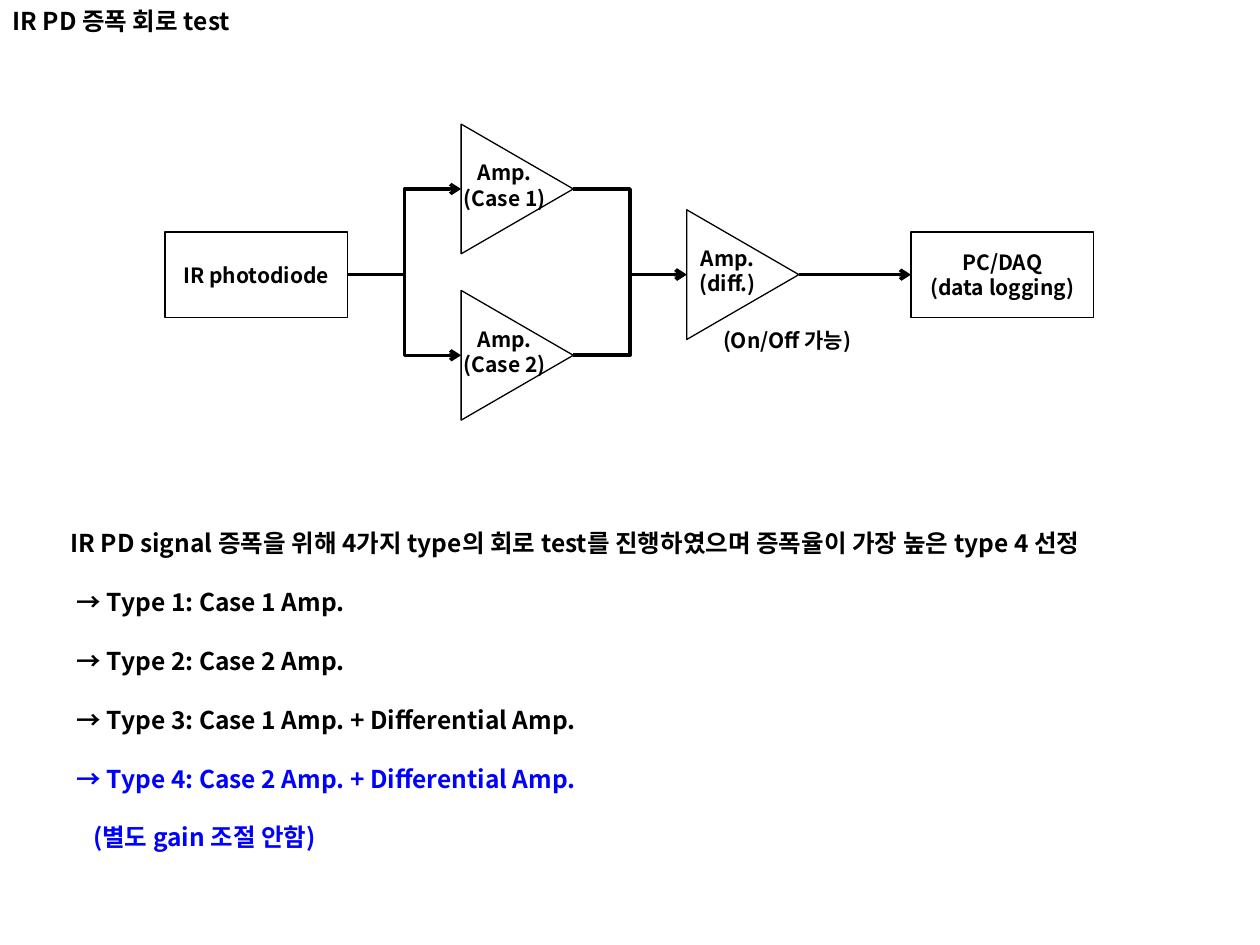
from dataclasses import dataclass

from lxml import etree
from pptx import Presentation
from pptx import util as u
from pptx.dml.color import RGBColor
from pptx.enum import shapes, text
from pptx.oxml.ns import qn


@dataclass(frozen=True)
class Theme:
    font: str = "Noto Sans CJK KR"
    ink: RGBColor = RGBColor(0, 0, 0)
    accent: RGBColor = RGBColor(0, 0, 255)
    body: int = 14
    label: int = 12
    outline: float = 0.75
    wire: float = 2


@dataclass(frozen=True)
class Line:
    text: str
    indent: float = 0
    color: RGBColor = Theme.ink


@dataclass(frozen=True)
class Block:
    left: float
    lines: list[Line]


@dataclass(frozen=True)
class Amp:
    left: float
    middle: float
    lines: list[Line]
    label_left: float
    label_width: float

    @property
    def right(self) -> float:
        return self.left + AMP_DEPTH


THEME = Theme()
AXIS, UPPER, LOWER = 2.18, 1.5, 2.82
BLOCK_WIDTH, BLOCK_HEIGHT = 1.45, 0.68
AMP_SPAN, AMP_DEPTH = 1.03, 0.89
LABEL_HEIGHT = 0.5


def write(frame, lines: list[Line], size: int, align=None, spacing=None) -> None:
    for index, line in enumerate(lines):
        paragraph = frame.paragraphs[0] if index == 0 else frame.add_paragraph()
        if line.indent:
            properties = paragraph._p.get_or_add_pPr()
            properties.set("marL", str(u.Inches(line.indent)))
            properties.set("indent", "0")
        paragraph.text = line.text
        paragraph.alignment = align
        paragraph.line_spacing = spacing
        font = paragraph.font
        font.name, font.size, font.bold = THEME.font, u.Pt(size), True
        font.color.rgb = line.color
        etree.SubElement(font._element, qn("a:ea")).set("typeface", THEME.font)


def add_text(slide, left: float, top: float, width: float, height: float,
             lines: list[Line], size: int, wrap: bool = False, align=None, spacing=None) -> None:
    box = slide.shapes.add_textbox(*map(u.Inches, (left, top, width, height)))
    box.text_frame.word_wrap = wrap
    write(box.text_frame, lines, size, align, spacing)


def add_outline(slide, kind, left: float, top: float, width: float, height: float):
    shape = slide.shapes.add_shape(kind, *map(u.Inches, (left, top, width, height)))
    shape.shadow.inherit = False
    shape.fill.background()
    shape.line.color.rgb = THEME.ink
    shape.line.width = u.Pt(THEME.outline)
    return shape


def add_block(slide, block: Block):
    shape = add_outline(slide, shapes.MSO_SHAPE.RECTANGLE, block.left,
                        AXIS - BLOCK_HEIGHT / 2, BLOCK_WIDTH, BLOCK_HEIGHT)
    shape.text_frame.vertical_anchor = text.MSO_ANCHOR.MIDDLE
    write(shape.text_frame, block.lines, THEME.label, text.PP_ALIGN.CENTER)
    return shape


def add_amp(slide, amp: Amp) -> None:
    triangle = add_outline(slide, shapes.MSO_SHAPE.FLOWCHART_EXTRACT,
                           amp.left - (AMP_SPAN - AMP_DEPTH) / 2,
                           amp.middle - AMP_DEPTH / 2, AMP_SPAN, AMP_DEPTH)
    triangle.rotation = 90
    add_text(slide, amp.label_left, amp.middle - 0.28, amp.label_width, LABEL_HEIGHT,
             amp.lines, THEME.label, align=text.PP_ALIGN.CENTER)


def add_wire(slide, kind, start: tuple[float, float], end: tuple[float, float]):
    wire = slide.shapes.add_connector(kind, *map(u.Inches, (*start, *end)))
    wire.line.color.rgb = THEME.ink
    wire.line.width = u.Pt(THEME.wire)
    etree.SubElement(wire.line._get_or_add_ln(), qn("a:tailEnd")).set("type", "arrow")
    etree.SubElement(wire._element.spPr, qn("a:effectLst"))
    return wire


def main() -> None:
    deck = Presentation()
    deck.slide_width, deck.slide_height = u.Inches(10), u.Inches(7.5)
    slide = deck.slides.add_slide(deck.slide_layouts[6])

    add_text(slide, 0, 0, 2.07, 0.34, [Line("IR PD 증폭 회로 test")], THEME.body)

    photodiode = Block(1.31, [Line("IR photodiode")])
    logger = Block(7.23, [Line("PC/DAQ"), Line("(data logging)")])
    cases = [
        Amp(3.66, middle, [Line("Amp."), Line(f"(Case {number})")], 3.58, 0.85)
        for number, middle in enumerate((UPPER, LOWER), 1)
    ]
    differential = Amp(5.45, AXIS, [Line("Amp."), Line("(diff.)")], 5.45, 0.65)

    add_block(slide, photodiode)
    logger_box = add_block(slide, logger)
    for amp in (*cases, differential):
        add_amp(slide, amp)

    elbow = shapes.MSO_CONNECTOR.ELBOW
    for amp in cases:
        add_wire(slide, elbow, (photodiode.left + BLOCK_WIDTH, AXIS), (amp.left, amp.middle))
        add_wire(slide, elbow, (amp.right, amp.middle), (differential.left, AXIS))
    output = add_wire(slide, shapes.MSO_CONNECTOR.STRAIGHT,
                      (differential.right, AXIS), (logger.left, AXIS))
    output.end_connect(logger_box, 1)

    add_text(slide, 5.64, 2.55, 1.28, 0.5, [Line("(On/Off 가능)")], THEME.label, wrap=True)

    summary = [
        Line("IR PD signal 증폭을 위해 4가지 type의 회로 test를 진행하였으며 "
             "증폭율이 가장 높은 type 4 선정"),
        Line("→ Type 1: Case 1 Amp.", 0.05),
        Line("→ Type 2: Case 2 Amp.", 0.05),
        Line("→ Type 3: Case 1 Amp. + Differential Amp.", 0.05),
        Line("→ Type 4: Case 2 Amp. + Differential Amp.", 0.05, THEME.accent),
        Line("(별도 gain 조절 안함)", 0.18, THEME.accent),
    ]
    add_text(slide, 0.46, 3.91, 9.01, 2.93, summary, THEME.body, spacing=2.0)

    deck.save("out.pptx")


if __name__ == "__main__":
    main()
